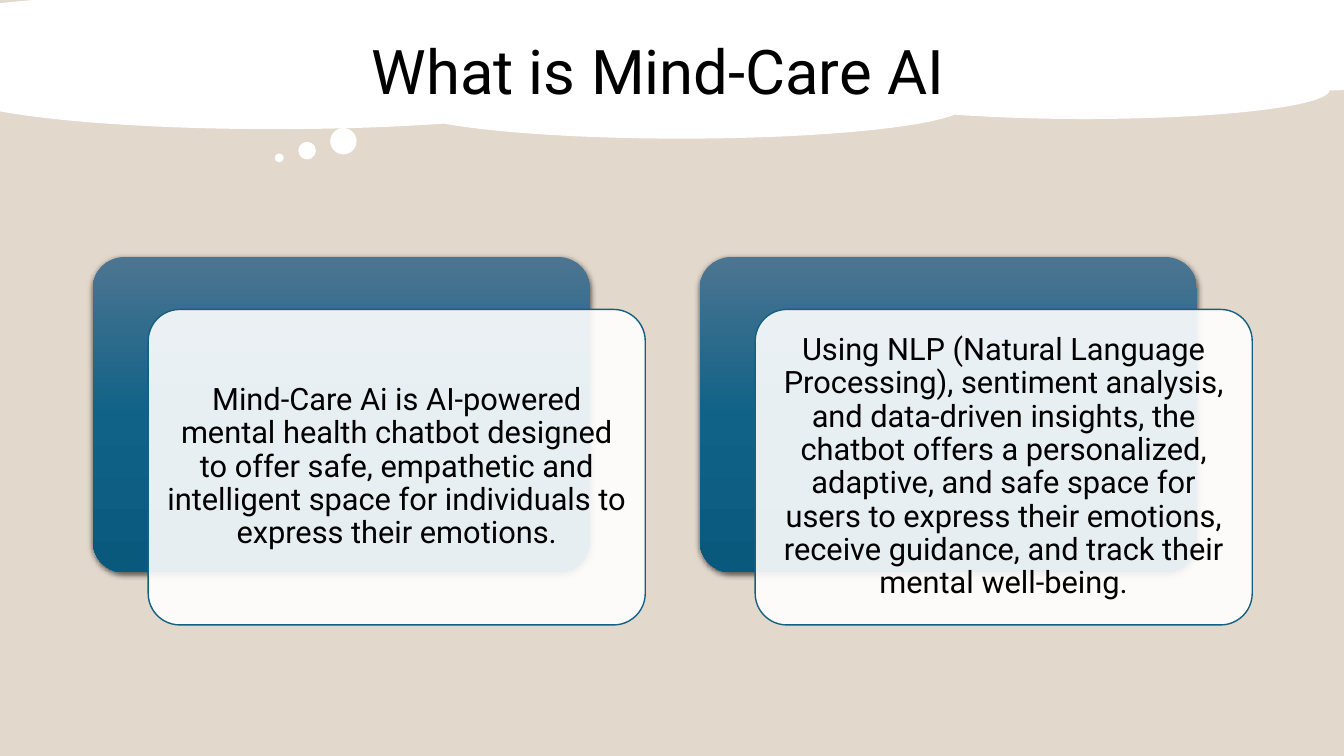
from lxml import etree
from pptx import Presentation
from pptx.dml.color import RGBColor
from pptx.enum.shapes import MSO_SHAPE
from pptx.enum.text import MSO_ANCHOR, PP_ALIGN
from pptx.oxml.ns import qn
from pptx.util import Inches, Pt

ROUNDED = MSO_SHAPE.ROUNDED_RECTANGLE
CLOUD = MSO_SHAPE.CLOUD_CALLOUT
CENTER = PP_ALIGN.CENTER
MIDDLE = MSO_ANCHOR.MIDDLE

SAND = RGBColor(0xE2, 0xD8, 0xCC)
WHITE = RGBColor(0xFF, 0xFF, 0xFF)
BLACK = RGBColor(0x00, 0x00, 0x00)
BLUE = RGBColor(0x15, 0x60, 0x82)
BLUE_FADE = [
    (0, RGBColor(0x4C, 0x75, 0x91)),
    (50, RGBColor(0x10, 0x62, 0x87)),
    (100, RGBColor(0x09, 0x59, 0x7D)),
]

CARD_SIZE = (4.93, 3.13)
CARD_TOP = 2.55
CARD_LEFT = 0.92
CARD_PITCH = 6.02
FRONT_SHIFT = (0.55, 0.52)

CARD_TEXTS = [
    "Mind-Care Ai is AI-powered mental health chatbot designed to offer safe, "
    "empathetic and intelligent space for individuals to express their emotions.",
    "Using NLP (Natural Language Processing), sentiment analysis, and data-driven "
    "insights, the chatbot offers a personalized, adaptive, and safe space for users "
    "to express their emotions, receive guidance, and track their mental well-being.",
]


def write_text(frame, text, size, font="Roboto", color=BLACK, inset=(0.1, 0.05)):
    frame.word_wrap = True
    frame.vertical_anchor = MIDDLE
    frame.margin_left = frame.margin_right = Inches(inset[0])
    frame.margin_top = frame.margin_bottom = Inches(inset[1])
    frame.text = text
    paragraph = frame.paragraphs[0]
    paragraph.alignment = CENTER
    paragraph.line_spacing = 0.9
    paragraph.font.name = font
    paragraph.font.size = Pt(size)
    paragraph.font.color.rgb = color


def add_color(parent, color, alpha=100):
    clr = etree.SubElement(parent, qn("a:srgbClr"), val=str(color))
    if alpha < 100:
        etree.SubElement(clr, qn("a:alpha"), val=str(alpha * 1000))


class SlideBuilder:
    def __init__(self, slide, background):
        self.slide = slide
        slide.background.fill.solid()
        slide.background.fill.fore_color.rgb = background

    def shape(self, kind, left, top, width, height):
        shape = self.slide.shapes.add_shape(
            kind, Inches(left), Inches(top), Inches(width), Inches(height))
        shape.shadow.inherit = False
        shape.line.fill.background()
        return shape

    def panel(self, left, top):
        panel = self.shape(ROUNDED, left, top, *CARD_SIZE)
        panel.adjustments[0] = 0.1
        return panel

    def back_panel(self, left, top):
        panel = self.panel(left, top)
        panel.fill.gradient()
        panel.fill.gradient_angle = 270
        properties = panel._element.spPr
        stops = properties.find(qn("a:gradFill")).find(qn("a:gsLst"))
        for stop in list(stops):
            stops.remove(stop)
        for position, color in BLUE_FADE:
            add_color(etree.SubElement(stops, qn("a:gs"), pos=str(position * 1000)), color)
        shadow = etree.SubElement(
            properties.find(qn("a:effectLst")), qn("a:outerShdw"),
            blurRad=str(Pt(4.5)), dist=str(Pt(1.5)), dir="5400000",
            algn="ctr", rotWithShape="0")
        add_color(shadow, BLACK, 63)

    def front_panel(self, left, top, text):
        panel = self.panel(left, top)
        panel.fill.solid()
        panel.fill.fore_color.rgb = WHITE
        solid = panel._element.spPr.find(qn("a:solidFill"))
        etree.SubElement(solid[0], qn("a:alpha"), val="90000")
        panel.line.color.rgb = BLUE
        panel.line.width = Pt(1)
        write_text(panel.text_frame, text, 22, inset=(0.09, 0.09))

    def card(self, left, top, text):
        self.back_panel(left, top)
        self.front_panel(left + FRONT_SHIFT[0], top + FRONT_SHIFT[1], text)

    def cloud(self, left, top, width, height):
        cloud = self.shape(CLOUD, left, top, width, height)
        cloud.fill.solid()
        cloud.fill.fore_color.rgb = WHITE

    def title(self, text, left, top, width, height):
        title = self.slide.shapes.title
        title.left, title.top = Inches(left), Inches(top)
        title.width, title.height = Inches(width), Inches(height)
        write_text(title.text_frame, text, 44)
        self.slide.shapes._spTree.append(title._element)


def main():
    deck = Presentation()
    deck.slide_width, deck.slide_height = Inches(13.33), Inches(7.5)
    builder = SlideBuilder(deck.slides.add_slide(deck.slide_layouts[5]), SAND)
    for index, text in enumerate(CARD_TEXTS):
        builder.card(CARD_LEFT + index * CARD_PITCH, CARD_TOP, text)
    builder.cloud(-2.52, -0.2, 18.14, 1.57)
    builder.title("What is Mind-Care AI", 2.66, 0, 7.74, 1.47)
    deck.save("out.pptx")


if __name__ == "__main__":
    main()
